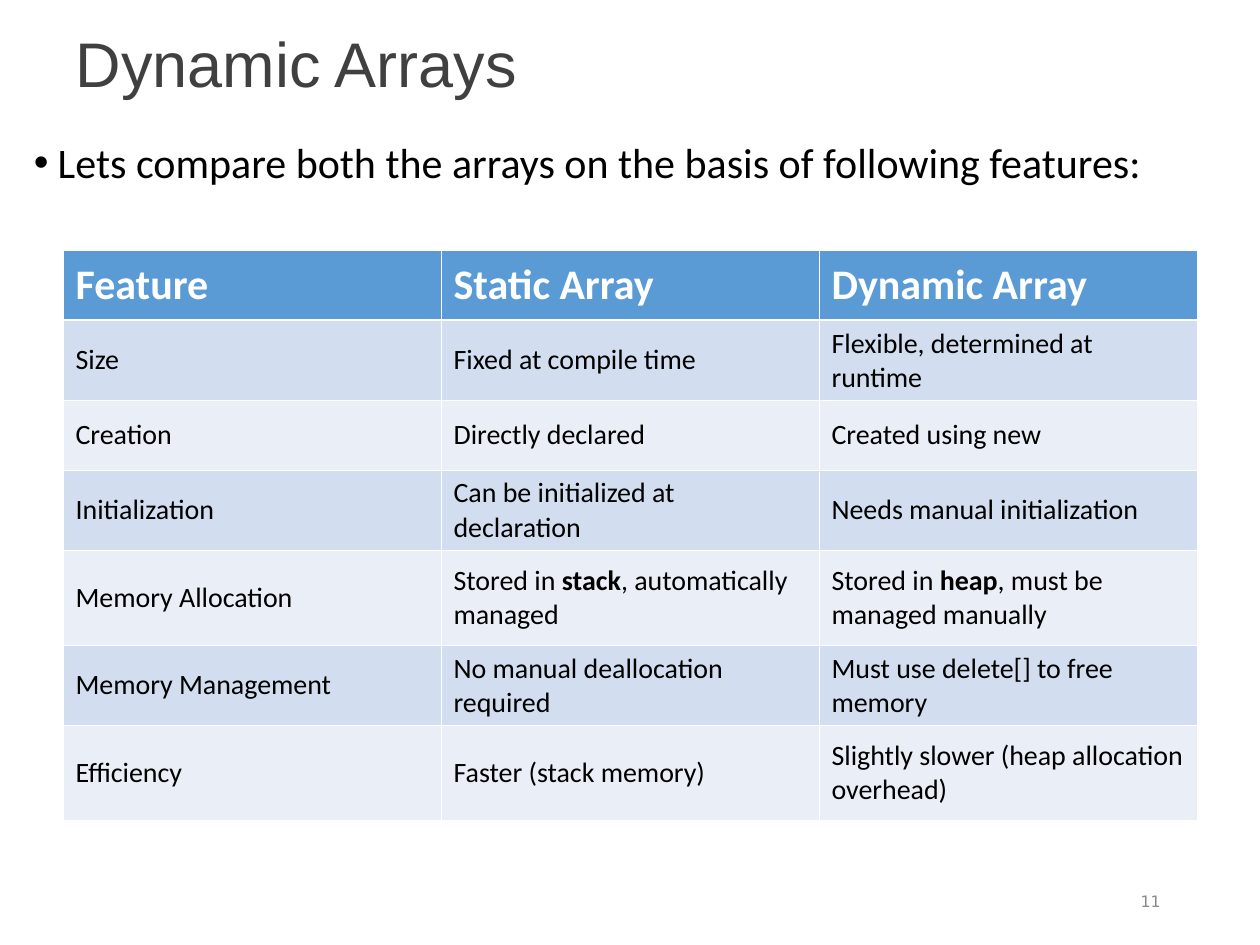
from dataclasses import dataclass

from lxml import etree
from pptx import Presentation, util as u
from pptx.dml.color import RGBColor
from pptx.enum import text as t
from pptx.oxml import ns

WHITE = RGBColor(0xFF, 0xFF, 0xFF)
BLACK = RGBColor(0x00, 0x00, 0x00)
TITLE_GRAY = RGBColor(0x40, 0x40, 0x40)
NUMBER_GRAY = RGBColor(0x89, 0x89, 0x89)
HEADER_BLUE = RGBColor(0x5B, 0x9B, 0xD5)
BAND_DARK = RGBColor(0xD2, 0xDE, 0xEF)
BAND_LIGHT = RGBColor(0xEA, 0xEF, 0xF7)

THIN, THICK = 0.45, 1.47
COLUMN_WIDTH = 3


@dataclass(frozen=True)
class TextStyle:
    font: str
    size: float
    color: RGBColor
    bold: bool = False


@dataclass(frozen=True)
class Feature:
    """One table row; words between asterisks are bold."""
    name: str
    static: str
    dynamic: str
    height: float


TITLE_STYLE = TextStyle("Arial", 36, TITLE_GRAY)
INTRO_STYLE = TextStyle("Calibri", 24, BLACK)
HEADER_STYLE = TextStyle("Calibri", 24, WHITE, True)
CELL_STYLE = TextStyle("Calibri", 16, BLACK)
NUMBER_STYLE = TextStyle("DejaVu Sans", 9, NUMBER_GRAY)

FEATURES = [
    Feature("Feature", "Static Array", "Dynamic Array", 0.55),
    Feature("Size", "Fixed at compile time", "Flexible, determined at runtime", 0.64),
    Feature("Creation", "Directly declared", "Created using new", 0.55),
    Feature("Initialization", "Can be initialized at declaration",
            "Needs manual initialization", 0.64),
    Feature("Memory Allocation", "Stored in *stack*, automatically managed",
            "Stored in *heap*, must be managed manually", 0.75),
    Feature("Memory Management", "No manual deallocation required",
            "Must use delete[] to free memory", 0.64),
    Feature("Efficiency", "Faster (stack memory)",
            "Slightly slower (heap allocation overhead)", 0.75),
]


def apply_style(paragraph, style: TextStyle) -> None:
    font = paragraph.font
    font.name = style.font
    font.size = u.Pt(style.size)
    font.color.rgb = style.color
    font.bold = style.bold


def add_text(slide, left: float, top: float, width: float, height: float):
    """Add a wrapping text box and return its frame."""
    box = slide.shapes.add_textbox(*map(u.Inches, (left, top, width, height)))
    box.text_frame.word_wrap = True
    return box.text_frame


def add_bullet(paragraph, indent: float) -> None:
    properties = paragraph._p.get_or_add_pPr()
    properties.set("marL", str(u.Inches(indent)))
    properties.set("indent", str(-u.Inches(indent)))
    etree.SubElement(properties, ns.qn("a:buFont"), typeface="Arial")
    etree.SubElement(properties, ns.qn("a:buChar"), char="•")


def set_borders(cell, top: float, bottom: float) -> None:
    properties = cell._tc.get_or_add_tcPr()
    for side, width in (("L", THIN), ("R", THIN), ("T", top), ("B", bottom)):
        line = etree.SubElement(properties, ns.qn(f"a:ln{side}"), w=str(u.Pt(width)))
        fill = etree.SubElement(line, ns.qn("a:solidFill"))
        etree.SubElement(fill, ns.qn("a:srgbClr"), val=str(WHITE))


def fill_cell(cell, content: str, row: int) -> None:
    set_borders(cell, THICK if row == 1 else THIN, THICK if row == 0 else THIN)
    cell.fill.solid()
    band = BAND_DARK if row % 2 else BAND_LIGHT
    cell.fill.fore_color.rgb = HEADER_BLUE if row == 0 else band
    cell.vertical_anchor = t.MSO_ANCHOR.MIDDLE
    paragraph = cell.text_frame.paragraphs[0]
    apply_style(paragraph, HEADER_STYLE if row == 0 else CELL_STYLE)
    for index, part in enumerate(content.split("*")):
        run = paragraph.add_run()
        run.text = part
        if index % 2:
            run.font.bold = True


def add_title(slide) -> None:
    title = slide.shapes.title
    title.left, title.top = u.Inches(0.5), u.Inches(0.14)
    title.width, title.height = u.Inches(9), u.Inches(0.78)
    frame = title.text_frame
    frame.text = "Dynamic Arrays"
    frame.auto_size = t.MSO_AUTO_SIZE.NONE
    frame.vertical_anchor = t.MSO_ANCHOR.MIDDLE
    heading = frame.paragraphs[0]
    heading.alignment = t.PP_ALIGN.LEFT
    heading.line_spacing = 0.9
    apply_style(heading, TITLE_STYLE)


def add_intro(slide) -> None:
    intro = add_text(slide, 0.17, 1.08, 9.67, 5.92).paragraphs[0]
    intro.text = "Lets compare both the arrays on the basis of following features:"
    intro.line_spacing = 0.9
    add_bullet(intro, 0.19)
    apply_style(intro, INTRO_STYLE)


def add_comparison(slide) -> None:
    height = sum(feature.height for feature in FEATURES)
    table = slide.shapes.add_table(
        len(FEATURES), 3, u.Inches(0.5), u.Inches(1.99),
        u.Inches(3 * COLUMN_WIDTH), u.Inches(height)).table
    for column in table.columns:
        column.width = u.Inches(COLUMN_WIDTH)
    for row, feature in enumerate(FEATURES):
        table.rows[row].height = u.Inches(feature.height)
        for column, content in enumerate((feature.name, feature.static, feature.dynamic)):
            fill_cell(table.cell(row, column), content, row)


def add_slide_number(slide) -> None:
    frame = add_text(slide, 7.06, 6.95, 2.25, 0.4)
    frame.vertical_anchor = t.MSO_ANCHOR.MIDDLE
    number = frame.paragraphs[0]
    number.text = "11"
    number.alignment = t.PP_ALIGN.RIGHT
    apply_style(number, NUMBER_STYLE)


def main() -> None:
    deck = Presentation()
    deck.slide_width, deck.slide_height = u.Inches(10), u.Inches(7.5)
    slide = deck.slides.add_slide(deck.slide_layouts.get_by_name("Title Only"))
    add_title(slide)
    add_intro(slide)
    add_comparison(slide)
    add_slide_number(slide)
    deck.save("out.pptx")


if __name__ == "__main__":
    main()
